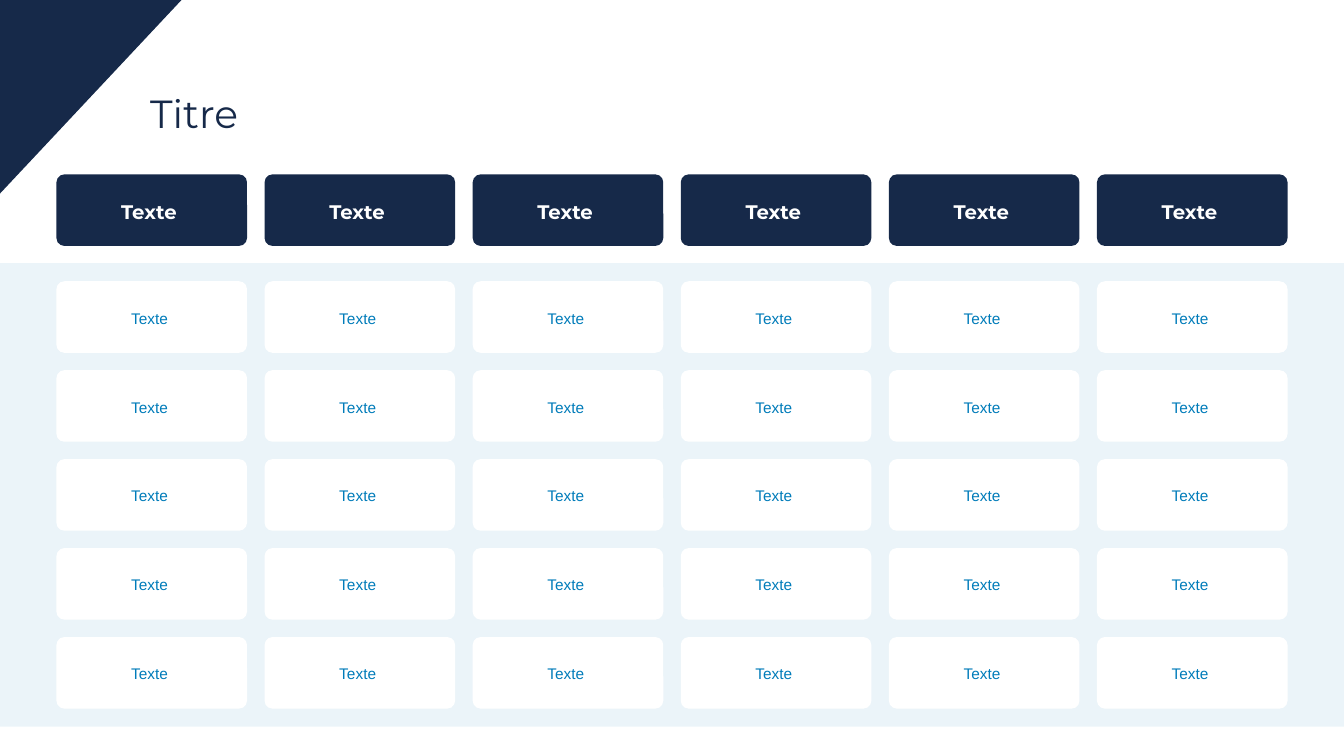
from pptx import Presentation
from pptx.dml.color import RGBColor
from pptx.enum.shapes import MSO_SHAPE as SHAPE
from pptx.enum.text import MSO_ANCHOR as ANCHOR, PP_ALIGN as ALIGN
from pptx.oxml.ns import qn
from pptx.util import Inches, Pt
from lxml import etree

NAVY, BLUE, BAND_BLUE, WHITE = "162949", "007CBA", "007EBD", "FFFFFF"
COLUMNS, ROWS = 6, 5
LEFT, LAST_LEFT = 0.56, 10.88
TOP, LAST_TOP = 2.79, 6.32
HEADER_TOP = 1.73
CARD_W, CARD_H = 1.89, 0.71


def color(value):
    return RGBColor.from_string(value)


def steps(first, last, count):
    return [first + i * (last - first) / (count - 1) for i in range(count)]


def add_shape(s, kind, x, y, w, h, fill):
    sp = s.shapes.add_shape(kind, Inches(x), Inches(y), Inches(w), Inches(h))
    sp.shadow.inherit = False
    sp.fill.solid()
    sp.fill.fore_color.rgb = color(fill)
    sp.line.fill.background()
    return sp


def set_text(sp, text, size, font, ink, anchor, align, spacing, bold=False, right=0):
    tf = sp.text_frame
    tf.text = text
    tf.word_wrap = True
    tf.vertical_anchor = anchor
    tf.margin_left, tf.margin_right = 0, Inches(right)
    tf.margin_top = tf.margin_bottom = Inches(0.05)
    p = tf.paragraphs[0]
    p.alignment = align
    p.line_spacing = spacing
    r = p.runs[0]
    r.font.size = Pt(size)
    r.font.name = font
    r.font.bold = bold
    r.font.color.rgb = color(ink)


def add_corner(s):
    sp = add_shape(s, SHAPE.RIGHT_TRIANGLE, -0.06, 0.06, 1.92, 1.8, NAVY)
    sp.rotation = 90


def add_title(s, text):
    sp = s.shapes.add_textbox(Inches(1.49), Inches(0.49), Inches(4.88), Inches(0.92))
    set_text(sp, text, 28, "Montserrat", NAVY, ANCHOR.BOTTOM, ALIGN.LEFT, 0.9, right=0.1)


def add_band(s):
    sp = add_shape(s, SHAPE.RECTANGLE, 0, 2.61, 13.33, 4.6, BAND_BLUE)
    fill = sp.fill._xPr.find(qn("a:solidFill"))
    etree.SubElement(fill[0], qn("a:alpha")).set("val", "8000")


def add_card(s, x, y, fill, size, font, ink, bold=False):
    sp = add_shape(s, SHAPE.ROUNDED_RECTANGLE, x, y, CARD_W, CARD_H, fill)
    sp.adjustments[0] = 0.11
    set_text(sp, "Texte ", size, font, ink, ANCHOR.MIDDLE, ALIGN.CENTER, 1.1, bold)


def main():
    prs = Presentation()
    prs.slide_width, prs.slide_height = Inches(13.33), Inches(7.5)
    s = prs.slides.add_slide(prs.slide_layouts[6])
    add_corner(s)
    add_title(s, "Titre")
    lefts = steps(LEFT, LAST_LEFT, COLUMNS)
    for x in lefts:
        add_card(s, x, HEADER_TOP, NAVY, 14, "Montserrat", WHITE, bold=True)
    add_band(s)
    for y in steps(TOP, LAST_TOP, ROWS):
        for x in lefts:
            add_card(s, x, y, WHITE, 11, "Arial", BLUE)
    prs.save("out.pptx")


if __name__ == "__main__":
    main()
